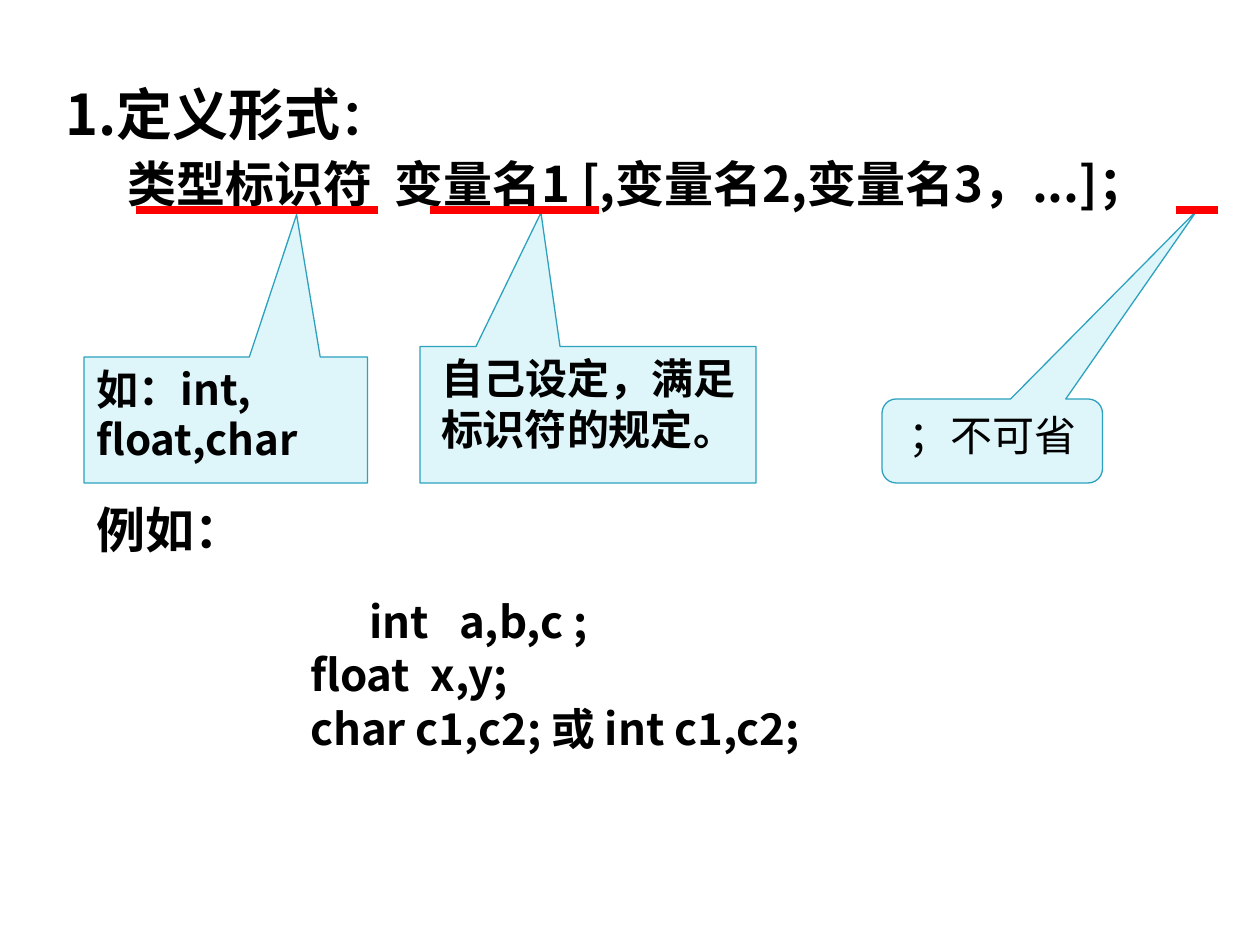
"""Build the slide on the form of a variable definition."""
from dataclasses import dataclass
from typing import Any

from lxml import etree
from pptx import Presentation
from pptx.dml.color import RGBColor
from pptx.enum import shapes, text
from pptx.oxml import ns
from pptx.util import Pt


@dataclass(frozen=True)
class Theme:
    ink: RGBColor = RGBColor(0, 0, 0)
    callout_fill: RGBColor = RGBColor(0xDE, 0xF5, 0xFA)
    callout_line: RGBColor = RGBColor(0x2D, 0xA2, 0xBF)
    underline: RGBColor = RGBColor(0xFF, 0, 0)
    sans: str = "Noto Sans CJK SC"
    serif: str = "Times New Roman"
    title: float = 32
    heading: float = 28
    code: float = 25
    note: float = 24
    heading_gap: float = 17.5


@dataclass(frozen=True)
class Area:
    left: float
    top: float
    width: float
    height: float

    def lengths(self) -> list[Pt]:
        return [Pt(v) for v in (self.left, self.top, self.width, self.height)]


@dataclass(frozen=True)
class Heading:
    wording: str
    area: Area
    font: str


@dataclass(frozen=True)
class Callout:
    lines: tuple[str, ...]
    area: Area
    outline: Any
    pointer: tuple[float, ...]
    font: str
    bold: bool = True
    align: Any = text.PP_ALIGN.CENTER


@dataclass(frozen=True)
class CodeLine:
    wording: str
    indent: float
    spacing: float


THEME = Theme()
UNDERLINE_TOP = 120
UNDERLINES = ((78, 216), (246, 342), (672, 696))
TITLE_AREA = Area(30, 42, 252, 46)
CODE_AREA = Area(150, 336, 456, 138)
HEADINGS = (
    Heading("类型标识符  变量名1 [,变量名2,变量名3，...]；", Area(66, 84, 654, 75), THEME.sans),
    Heading("例如：", Area(48, 282, 126, 41), THEME.serif),
)
RECTANGLE = shapes.MSO_SHAPE.RECTANGULAR_CALLOUT
ROUNDED = shapes.MSO_SHAPE.ROUNDED_RECTANGULAR_CALLOUT
CALLOUTS = (
    Callout(("自己设定，满足标识符的规定。",), Area(240, 198, 192, 78),
            RECTANGLE, (-0.14, -1.48), THEME.serif),
    Callout(("如：int,", "float,char"), Area(48, 204, 162, 72),
            RECTANGLE, (0.25, -1.63), THEME.sans, align=text.PP_ALIGN.LEFT),
    Callout(("；不可省",), Area(504, 228, 126, 48),
            ROUNDED, (0.93, -2.75, 0.17), THEME.serif, bold=False),
)
CODE = (
    CodeLine("int   a,b,c ;", 54, 1),
    CodeLine("float  x,y;", 20, 0.9),
    CodeLine("char c1,c2; 或 int c1,c2;", 20, 0.9),
)


def style(para: Any, font: str, size: float, bold: bool = True,
          align: Any = text.PP_ALIGN.LEFT, before: float = 0) -> None:
    para.alignment = align
    para.space_before = Pt(before)
    para.font.name = font
    para.font.size = Pt(size)
    para.font.bold = bold
    para.font.color.rgb = THEME.ink
    defaults = para._p.pPr.find(ns.qn("a:defRPr"))
    etree.SubElement(defaults, ns.qn("a:ea")).set("typeface", THEME.sans)


def prepare(box: Any) -> Any:
    frame = box.text_frame
    frame.word_wrap = True
    frame.auto_size = text.MSO_AUTO_SIZE.NONE
    frame.vertical_anchor = text.MSO_ANCHOR.TOP
    return frame


def place(box: Any, area: Area) -> Any:
    box.left, box.top, box.width, box.height = area.lengths()
    return prepare(box)


def fill_title(box: Any) -> None:
    para = place(box, TITLE_AREA).paragraphs[0]
    para.add_run().text = "1.定义形式"
    colon = para.add_run()
    colon.text = "："
    colon.font.size = Pt(THEME.heading)
    style(para, THEME.sans, THEME.title, before=THEME.heading_gap)


def fill_code(box: Any) -> None:
    frame = place(box, CODE_AREA)
    frame.text = "\n".join(line.wording for line in CODE)
    for para, line in zip(frame.paragraphs, CODE):
        properties = para._p.get_or_add_pPr()
        properties.set("marL", str(Pt(line.indent)))
        properties.set("indent", "0")
        para.line_spacing = line.spacing
        para.space_before = Pt(4)
        etree.SubElement(properties, ns.qn("a:buNone"))
        style(para, THEME.sans, THEME.code, align=text.PP_ALIGN.JUSTIFY, before=4)


def draw_heading(page: Any, heading: Heading) -> None:
    frame = prepare(page.shapes.add_textbox(*heading.area.lengths()))
    frame.text = heading.wording
    style(frame.paragraphs[0], heading.font, THEME.heading, before=THEME.heading_gap)


def draw_callout(page: Any, callout: Callout) -> None:
    box = page.shapes.add_shape(callout.outline, *callout.area.lengths())
    for index, value in enumerate(callout.pointer):
        box.adjustments[index] = value
    box.shadow.inherit = False
    box.fill.solid()
    box.fill.fore_color.rgb = THEME.callout_fill
    box.line.color.rgb = THEME.callout_line
    box.line.width = Pt(0.75)
    frame = prepare(box)
    frame.text = "\n".join(callout.lines)
    for para in frame.paragraphs:
        style(para, callout.font, THEME.note, callout.bold, callout.align)


def draw_underline(page: Any, start: float, end: float) -> None:
    line = page.shapes.add_connector(
        shapes.MSO_CONNECTOR.STRAIGHT,
        Pt(start), Pt(UNDERLINE_TOP), Pt(end), Pt(UNDERLINE_TOP))
    line.line.color.rgb = THEME.underline
    line.line.width = Pt(4.5)
    etree.SubElement(line._element.spPr, ns.qn("a:effectLst"))


def main() -> None:
    deck = Presentation()
    deck.slide_width, deck.slide_height = Pt(720), Pt(540)
    page = deck.slides.add_slide(deck.slide_layouts[1])
    fill_title(page.shapes.title)
    fill_code(page.placeholders[1])
    for callout in CALLOUTS:
        draw_callout(page, callout)
    for heading in HEADINGS:
        draw_heading(page, heading)
    for start, end in UNDERLINES:
        draw_underline(page, start, end)
    deck.save("out.pptx")


if __name__ == "__main__":
    main()
